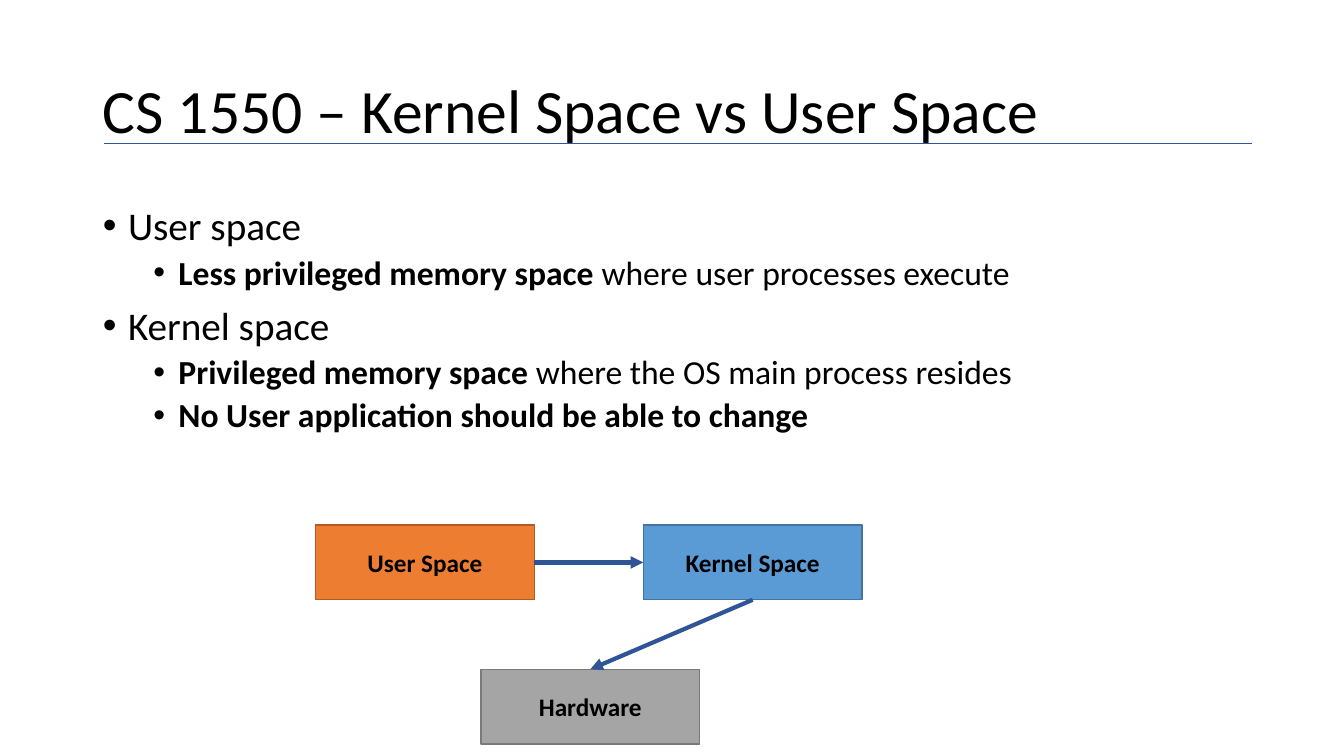
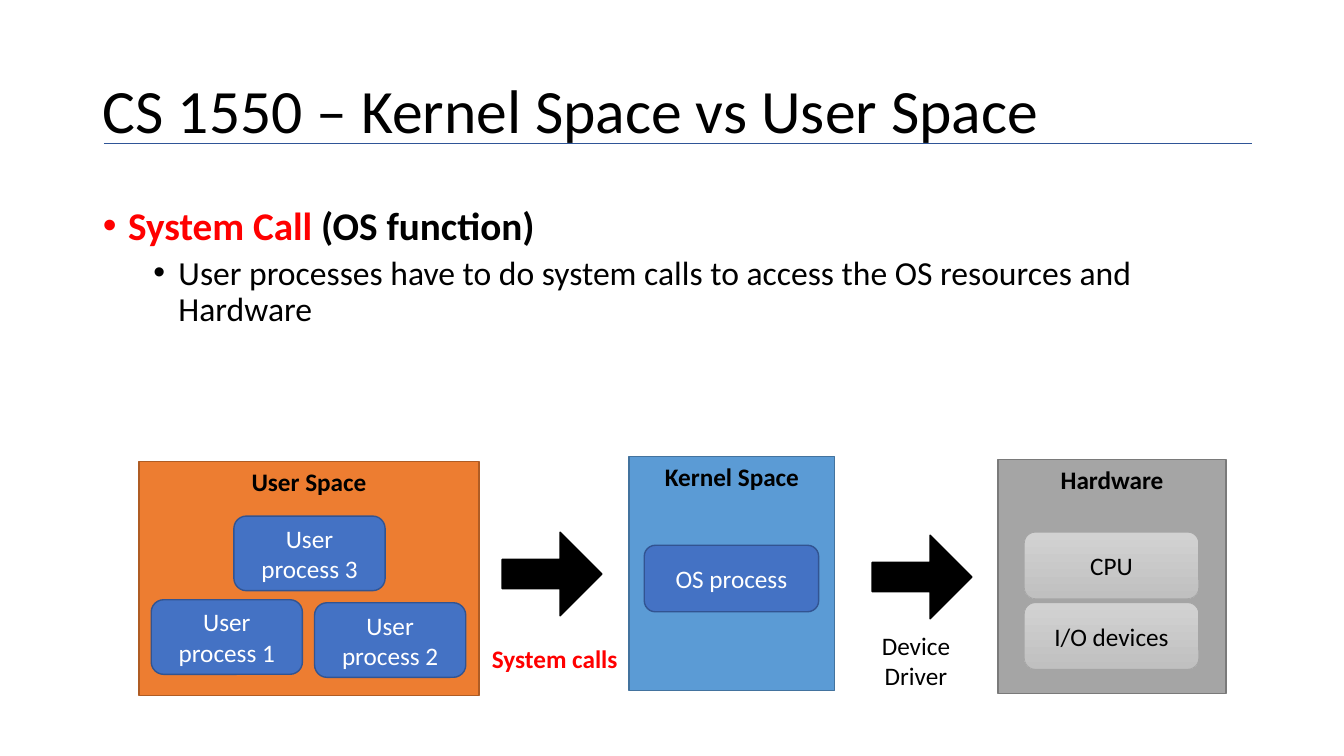
from dataclasses import dataclass
from typing import Optional

from lxml import etree
from pptx import Presentation
from pptx.dml.color import RGBColor
from pptx.enum.shapes import MSO_CONNECTOR, MSO_SHAPE
from pptx.enum.text import MSO_ANCHOR, MSO_AUTO_SIZE, PP_ALIGN
from pptx.oxml.ns import qn
from pptx.util import Emu, Pt

# Enum members
RECT = MSO_SHAPE.RECTANGLE
ROUNDED = MSO_SHAPE.ROUNDED_RECTANGLE
RIGHT_ARROW = MSO_SHAPE.RIGHT_ARROW
STRAIGHT = MSO_CONNECTOR.STRAIGHT
TOP, MIDDLE = MSO_ANCHOR.TOP, MSO_ANCHOR.MIDDLE
LEFT, CENTER = PP_ALIGN.LEFT, PP_ALIGN.CENTER
NO_AUTOFIT = MSO_AUTO_SIZE.NONE

# Shared look
EMU_PER_PX = 9144  # 100 px to the inch
FONT = "Calibri"
TITLE = "CS 1550 – Kernel Space vs User Space"
BLACK = RGBColor(0x00, 0x00, 0x00)
WHITE = RGBColor(0xFF, 0xFF, 0xFF)
RED = RGBColor(0xFF, 0x00, 0x00)
NAVY = RGBColor(0x2F, 0x55, 0x97)
SILVER = RGBColor(0xA5, 0xA5, 0xA5)
LIGHT_TOP = RGBColor(0xD2, 0xD2, 0xD2)
LIGHT_BOTTOM = RGBColor(0xC0, 0xC0, 0xC0)
SIDE_TOP, SIDE_LEFT, SIDE_BOTTOM, SIDE_RIGHT = range(4)


@dataclass(frozen=True)
class Style:
    fill: RGBColor
    line: RGBColor
    ink: RGBColor = BLACK
    bold: bool = False
    fill_end: Optional[RGBColor] = None
    line_pt: float = 1
    preset: MSO_SHAPE = RECT


USER = Style(RGBColor(0xED, 0x7D, 0x31), RGBColor(0xAF, 0x5C, 0x24), bold=True)
KERNEL = Style(RGBColor(0x5B, 0x9B, 0xD5), RGBColor(0x43, 0x73, 0x9E), bold=True)
HARDWARE = Style(SILVER, RGBColor(0x7A, 0x7A, 0x7A), bold=True)
PROCESS = Style(RGBColor(0x44, 0x72, 0xC4), RGBColor(0x32, 0x54, 0x91), WHITE,
                preset=ROUNDED)
DEVICE = Style(LIGHT_TOP, SILVER, fill_end=LIGHT_BOTTOM, line_pt=0.5, preset=ROUNDED)
ARROW = Style(BLACK, BLACK, preset=RIGHT_ARROW)


@dataclass(frozen=True)
class Box:
    text: str
    left: int
    top: int
    width: int
    height: int
    style: Style
    anchor: MSO_ANCHOR = MIDDLE


@dataclass(frozen=True)
class Label:
    text: str
    left: int
    top: int
    width: int
    height: int
    align: PP_ALIGN = CENTER
    color: RGBColor = BLACK
    bold: bool = False


@dataclass(frozen=True)
class Span:
    text: str
    bold: bool = False
    color: RGBColor = BLACK


@dataclass(frozen=True)
class Bullet:
    level: int
    spans: tuple[Span, ...]


def px(value: int) -> Emu:
    return Emu(value * EMU_PER_PX)


def place(shape, left: int, top: int, width: int, height: int) -> None:
    shape.left, shape.top = px(left), px(top)
    shape.width, shape.height = px(width), px(height)


def style_font(font, size: int, color: RGBColor, bold: bool = False) -> None:
    font.name, font.size, font.bold = FONT, Pt(size), bold
    font.color.rgb = color


def style_text(frame, size: int, color: RGBColor, bold: bool, align: PP_ALIGN) -> None:
    for paragraph in frame.paragraphs:
        paragraph.alignment = align
        for run in paragraph.runs:
            style_font(run.font, size, color, bold)


def style_line(connector, width: float, arrowhead: bool = False) -> None:
    connector.line.color.rgb = NAVY
    connector.line.width = Pt(width)
    if arrowhead:
        etree.SubElement(connector.line._get_or_add_ln(), qn("a:tailEnd"), type="triangle")
    etree.SubElement(connector._element.spPr, qn("a:effectLst"))


def add_box(slide, box: Box):
    style = box.style
    shape = slide.shapes.add_shape(style.preset, px(box.left), px(box.top),
                                   px(box.width), px(box.height))
    shape.shadow.inherit = False
    if style.fill_end is None:
        shape.fill.solid()
        shape.fill.fore_color.rgb = style.fill
    else:
        shape.fill.gradient()
        shape.fill.gradient_angle = 270
        for stop, color in zip(shape.fill.gradient_stops, (style.fill, style.fill_end)):
            stop.color.rgb = color
    shape.line.color.rgb = style.line
    shape.line.width = Pt(style.line_pt)
    if style.preset == RIGHT_ARROW:
        shape.adjustments[0] = 0.35
    if box.text:
        shape.text_frame.text = box.text
        shape.text_frame.vertical_anchor = box.anchor
        style_text(shape.text_frame, 18, style.ink, style.bold, CENTER)
    return shape


def add_label(slide, label: Label) -> None:
    frame = slide.shapes.add_textbox(px(label.left), px(label.top),
                                     px(label.width), px(label.height)).text_frame
    frame.word_wrap = True
    frame.text = label.text
    style_text(frame, 18, label.color, label.bold, label.align)


def join(slide, start, start_side: int, end, end_side: int) -> None:
    connector = slide.shapes.add_connector(STRAIGHT, 0, 0, 0, 0)
    connector.begin_connect(start, start_side)
    connector.end_connect(end, end_side)
    style_line(connector, 3, arrowhead=True)


def fill_bullets(body, bullets: list[Bullet]) -> None:
    frame = body.text_frame
    frame.auto_size = NO_AUTOFIT
    frame.vertical_anchor = TOP
    for index, bullet in enumerate(bullets):
        paragraph = frame.add_paragraph() if index else frame.paragraphs[0]
        paragraph.level = bullet.level
        paragraph.line_spacing = 0.9
        paragraph.space_before = Pt(5 if bullet.level else 10)
        for span in bullet.spans:
            run = paragraph.add_run()
            run.text = span.text
            style_font(run.font, 24 if bullet.level else 28, span.color, span.bold)
        properties = paragraph._p.get_or_add_pPr()
        properties.set("marL", str(px(25 + 50 * bullet.level)))
        properties.set("indent", str(px(-25)))
        etree.SubElement(properties, qn("a:buFont"), typeface="Arial")
        etree.SubElement(properties, qn("a:buChar"), char="•")


def add_content_slide(deck, bullets: list[Bullet], body_height: int):
    slide = deck.slides.add_slide(deck.slide_layouts[1])
    title, body = slide.placeholders
    place(title, 92, 40, 1150, 145)
    title.text_frame.text = TITLE
    title.text_frame.auto_size = NO_AUTOFIT
    title.text_frame.vertical_anchor = MIDDLE
    title.text_frame.paragraphs[0].line_spacing = 0.9
    style_text(title.text_frame, 44, BLACK, False, LEFT)
    place(body, 92, 200, 1150, body_height)
    fill_bullets(body, bullets)
    rule = slide.shapes.add_connector(STRAIGHT, px(103), px(142), px(1242), px(142))
    style_line(rule, 0.5)
    return slide


def build_spaces_slide(deck) -> None:
    slide = add_content_slide(deck, [
        Bullet(0, (Span("User space"),)),
        Bullet(1, (Span("Less privileged memory space ", bold=True),
                   Span("where user processes execute"))),
        Bullet(0, (Span("Kernel space"),)),
        Bullet(1, (Span("Privileged memory space ", bold=True),
                   Span("where the OS main process resides"))),
        Bullet(1, (Span("No User application should be able to change", bold=True),)),
    ], body_height=315)

    # Path from user space to the hardware
    kernel, user, hardware = [
        add_box(slide, Box(text, left, top, 217, 74, style))
        for text, left, top, style in (
            ("Kernel Space", 638, 521, KERNEL),
            ("User Space", 313, 521, USER),
            ("Hardware", 477, 664, HARDWARE),
        )
    ]
    join(slide, user, SIDE_RIGHT, kernel, SIDE_LEFT)
    join(slide, kernel, SIDE_BOTTOM, hardware, SIDE_TOP)


def build_system_call_slide(deck) -> None:
    slide = add_content_slide(deck, [
        Bullet(0, (Span("System Call ", bold=True, color=RED),
                   Span("(OS function)", bold=True))),
        Bullet(1, (Span("User processes have to do system calls to access "
                        "the OS resources and Hardware"),)),
    ], body_height=223)

    # Spaces, what runs in them, and the arrows between
    spaces = [
        Box("Kernel Space", 624, 453, 204, 232, KERNEL, TOP),
        Box("User Space", 138, 458, 337, 232, USER, TOP),
        Box("Hardware", 990, 456, 226, 232, HARDWARE, TOP),
    ]
    processes = [
        Box(f"User process {number}", left, top, 150, 74, PROCESS)
        for number, (left, top) in enumerate(((150, 595), (312, 598), (232, 512)), 1)
    ]
    parts = [
        Box(text, left, top, 173, 66, style)
        for text, left, top, style in (
            ("OS process", 639, 541, PROCESS),
            ("CPU", 1016, 528, DEVICE),
            ("I/O devices", 1016, 598, DEVICE),
        )
    ]
    arrows = [Box("", left, top, 99, 83, ARROW) for left, top in ((498, 528), (865, 531))]
    for box in spaces + processes + parts + arrows:
        add_box(slide, box)

    # Names of the two crossings
    add_label(slide, Label("Device\nDriver", 850, 620, 117, 71))
    add_label(slide, Label("System calls", 478, 633, 236, 40, LEFT, RED, bold=True))


def main() -> None:
    deck = Presentation()
    deck.slide_width, deck.slide_height = px(1333), px(750)
    build_spaces_slide(deck)
    build_system_call_slide(deck)
    deck.save("out.pptx")


if __name__ == "__main__":
    main()
